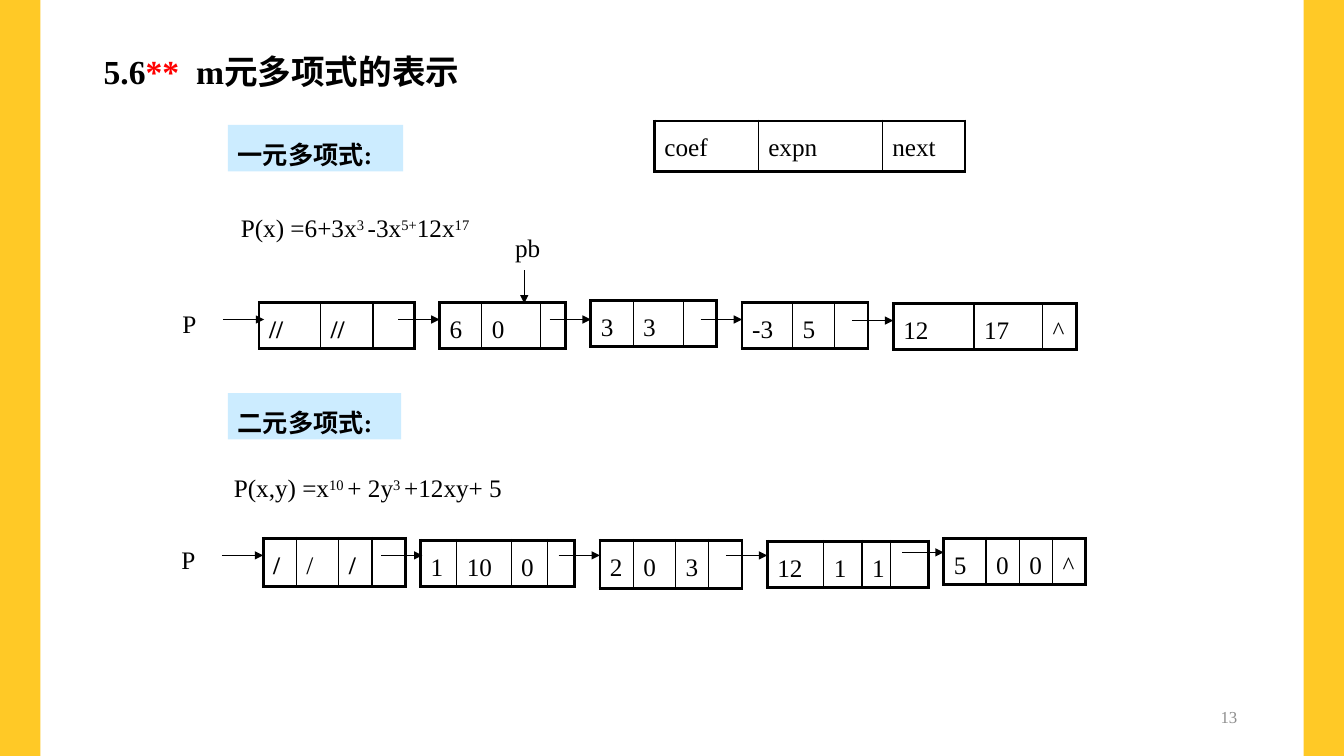
from dataclasses import dataclass
from typing import NamedTuple

import pptx
import pptx.dml.color
import pptx.enum.shapes
import pptx.enum.text
import pptx.oxml
import pptx.oxml.ns
import pptx.presentation
import pptx.shapes.autoshape
import pptx.slide
import pptx.text.text
import pptx.util

PX = 9144  # one px is a hundredth of an inch
ALIGN = pptx.enum.text.PP_ALIGN
ANCHOR = pptx.enum.text.MSO_ANCHOR


@dataclass(frozen=True)
class Theme:
    font: str = "Times New Roman"
    ink: str = "000000"
    accent: str = "FF0000"
    muted: str = "8E8E8E"
    band: str = "FFC926"
    label: str = "CCECFF"
    title_size: int = 24
    body_size: int = 18
    number_size: int = 12
    outer_line: float = 2.25
    inner_line: float = 1
    arrow_line: float = 0.75
    line_spacing: float = 1.3


THEME = Theme()


class Span(NamedTuple):
    text: str
    raised: bool = False
    color: str = ""


@dataclass(frozen=True)
class Caption:
    box: tuple[int, int, int, int]
    spans: list[Span]
    size: int = THEME.body_size
    color: str = THEME.ink
    bold: bool = False


class Node(NamedTuple):
    left: int
    top: int
    widths: list[int]
    fields: list[str]
    bold: tuple[int, ...] = ()
    height: int = 45


class Arrow(NamedTuple):
    x: int
    y: int
    across: int = 41
    down: int = 0
    head: bool = True


BANDS = [(0, 0, 40, 750), (1293, 0, 40, 750)]
LABELS = [
    Caption((226, 124, 174, 46), [Span("一元多项式:")], bold=True),
    Caption((226, 390, 172, 46), [Span("二元多项式:")], bold=True),
]
CAPTIONS = [
    Caption((93, 34, 667, 57),
            [Span("5.6"), Span("**", color=THEME.accent), Span("  m元多项式的表示")],
            size=THEME.title_size, bold=True),
    Caption((229, 197, 332, 46),
            [Span("P(x) =6+3x"), Span("3 ", True), Span("-3x"), Span("5+", True),
             Span("12x"), Span("17", True)]),
    Caption((222, 455, 311, 46),
            [Span("P(x,y) =x"), Span("10 ", True), Span("+ 2y"), Span("3 ", True),
             Span("+12xy+ 5")]),
    Caption((171, 292, 67, 46), [Span("P")]),
    Caption((170, 526, 67, 46), [Span("P")]),
    Caption((501, 217, 67, 46), [Span("pb")]),
]
PAGE_NUMBER = Caption((942, 694, 295, 35), [Span("13")],
                      size=THEME.number_size, color=THEME.muted)
NODES = [
    Node(649, 120, [103, 123, 82], ["coef", "expn", "next"], height=50),
    Node(257, 300, [61, 52, 41], ["//", "//", ""], bold=(0, 1)),
    Node(436, 300, [42, 58, 25], ["6", "0", ""]),
    Node(586, 298, [42, 50, 33], ["3", "3", ""]),
    Node(736, 300, [50, 42, 33], ["-3", "5", ""]),
    Node(886, 301, [80, 68, 34], ["12", "17", "^"]),
    Node(261, 534, [33, 42, 33, 33], ["/", "/", "/", ""], bold=(0, 2), height=48),
    Node(417, 536, [36, 54, 36, 27], ["1", "10", "0", ""]),
    Node(595, 536, [33, 42, 33, 33], ["2", "0", "3", ""], height=48),
    Node(761, 537, [56, 38, 28, 38], ["12", "1", "1", ""]),
    Node(936, 534, [42, 33, 33, 33], ["5", "0", "0", "^"]),
]
ARROWS = [
    *(Arrow(x, 317) for x in (221, 395, 545, 695)), Arrow(845, 318),
    *(Arrow(x, 551) for x in (220, 378, 554, 720)), Arrow(895, 548),
    Arrow(520, 268, across=0, down=33),
    Arrow(1103, 593, across=0, head=False),
]


def px(*lengths: int) -> list[pptx.util.Emu]:
    return [pptx.util.Emu(length * PX) for length in lengths]


def rgb(color: str) -> pptx.dml.color.RGBColor:
    return pptx.dml.color.RGBColor.from_string(color)


def style_paragraph(para: pptx.text.text._Paragraph, size: int, color: str, bold: bool) -> None:
    para.font.name = THEME.font
    para.font.size = pptx.util.Pt(size)
    para.font.bold = bold
    para.font.color.rgb = rgb(color)


def write_caption(frame: pptx.text.text.TextFrame, caption: Caption) -> pptx.text.text._Paragraph:
    frame.word_wrap = True
    frame.vertical_anchor = ANCHOR.TOP
    para = frame.paragraphs[0]
    para.line_spacing = THEME.line_spacing
    style_paragraph(para, caption.size, caption.color, caption.bold)
    for span in caption.spans:
        run = para.add_run()
        run.text = span.text
        if span.raised:
            run._r.get_or_add_rPr().set("baseline", "30000")
        if span.color:
            run.font.color.rgb = rgb(span.color)
    return para


def add_caption(page: pptx.slide.Slide, caption: Caption) -> pptx.text.text.TextFrame:
    frame = page.shapes.add_textbox(*px(*caption.box)).text_frame
    write_caption(frame, caption)
    return frame


def add_block(page: pptx.slide.Slide, box: tuple[int, int, int, int],
              color: str) -> pptx.shapes.autoshape.Shape:
    block = page.shapes.add_shape(pptx.enum.shapes.MSO_SHAPE.RECTANGLE, *px(*box))
    block.shadow.inherit = False
    block.fill.solid()
    block.fill.fore_color.rgb = rgb(color)
    block.line.fill.background()
    return block


def set_borders(cell: pptx.table._Cell, first: bool, last: bool) -> None:
    """Thick lines round the node, thin ones between its fields."""
    weights = {
        "lnL": THEME.outer_line if first else THEME.inner_line,
        "lnR": THEME.outer_line if last else THEME.inner_line,
        "lnT": THEME.outer_line,
        "lnB": THEME.outer_line,
    }
    properties = cell._tc.get_or_add_tcPr()
    for position, (side, weight) in enumerate(weights.items()):
        properties.insert(position, pptx.oxml.parse_xml(
            f'<a:{side} {pptx.oxml.ns.nsdecls("a")} w="{pptx.util.Pt(weight)}">'
            f'<a:solidFill><a:srgbClr val="{THEME.ink}"/></a:solidFill></a:{side}>'))


def add_node(page: pptx.slide.Slide, node: Node) -> None:
    count = len(node.fields)
    table = page.shapes.add_table(
        1, count, *px(node.left, node.top, sum(node.widths), node.height)).table
    table.first_row = table.horz_banding = False
    for index, (width, field) in enumerate(zip(node.widths, node.fields)):
        table.columns[index].width = px(width)[0]
        cell = table.cell(0, index)
        cell.fill.background()
        set_borders(cell, index == 0, index == count - 1)
        cell.text = field
        para = cell.text_frame.paragraphs[0]
        para.line_spacing = THEME.line_spacing
        style_paragraph(para, THEME.body_size, THEME.ink, index in node.bold)


def add_arrow(page: pptx.slide.Slide, arrow: Arrow) -> None:
    line = page.shapes.add_connector(
        pptx.enum.shapes.MSO_CONNECTOR.STRAIGHT,
        *px(arrow.x, arrow.y, arrow.x + arrow.across, arrow.y + arrow.down))
    line.line.color.rgb = rgb(THEME.ink)
    line.line.width = pptx.util.Pt(THEME.arrow_line)
    namespace = pptx.oxml.ns.nsdecls("a")
    if arrow.head:
        line.line._get_or_add_ln().append(
            pptx.oxml.parse_xml(f'<a:tailEnd {namespace} type="triangle"/>'))
    line._element.spPr.append(pptx.oxml.parse_xml(f"<a:effectLst {namespace}/>"))


def main() -> None:
    deck = pptx.Presentation()
    deck.slide_width, deck.slide_height = px(1333, 750)
    page = deck.slides.add_slide(deck.slide_layouts[6])
    for band in BANDS:
        add_block(page, band, THEME.band)
    for label in LABELS:
        block = add_block(page, label.box, THEME.label)
        write_caption(block.text_frame, label).alignment = ALIGN.JUSTIFY
    for node in NODES:
        add_node(page, node)
    for arrow in ARROWS:
        add_arrow(page, arrow)
    for caption in CAPTIONS:
        add_caption(page, caption)
    number = add_caption(page, PAGE_NUMBER)
    number.vertical_anchor = ANCHOR.MIDDLE
    number.paragraphs[0].alignment = ALIGN.RIGHT
    number.paragraphs[0].line_spacing = 1.0
    deck.save("out.pptx")


if __name__ == "__main__":
    main()
